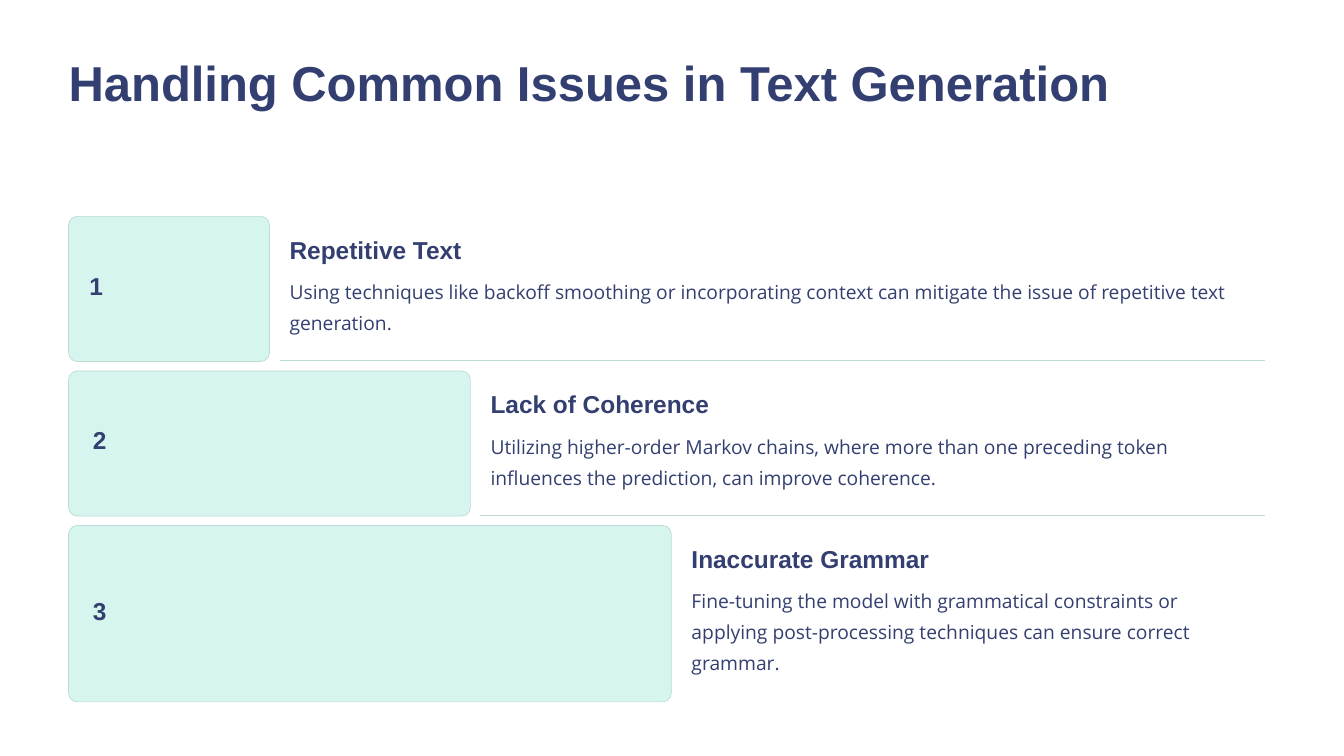
from dataclasses import dataclass

import pptx
import pptx.dml.color
import pptx.enum.shapes
import pptx.enum.text
import pptx.oxml
import pptx.oxml.ns
import pptx.util
from pptx.util import Inches, Pt

NAVY = pptx.dml.color.RGBColor(0x33, 0x3F, 0x70)
MINT = pptx.dml.color.RGBColor(0xD6, 0xF5, 0xEE)
SAGE = pptx.dml.color.RGBColor(0xBC, 0xDB, 0xD4)
WHITE = pptx.dml.color.RGBColor(0xFF, 0xFF, 0xFF)

SLIDE_WIDTH, SLIDE_HEIGHT = 20, 11.25
MARGIN = 1.02
COLUMN = 2.99
FIRST_ROW = 3.22
ROW_GAP = 0.14
CORNER = 0.13
TEXT_GAP = 0.3
RULE_GAP = 0.15
RULE_RIGHT = 18.83
TEXT_RIGHT = RULE_RIGHT - RULE_GAP
NUMBER_HEIGHT = 0.71


@dataclass(frozen=True)
class TextStyle:
    font: str
    size: float
    line: float
    bold: bool = True
    align: pptx.enum.text.PP_ALIGN = pptx.enum.text.PP_ALIGN.LEFT


@dataclass(frozen=True)
class Issue:
    heading: str
    remedy: str
    remedy_lines: int
    number_width: float = 0.31

    @property
    def height(self) -> float:
        return 1.23 + 0.465 * self.remedy_lines


TITLE = TextStyle("Arial", 52.5, 65.6)
NUMBER = TextStyle("Arial", 26.2, 41.9, align=pptx.enum.text.PP_ALIGN.CENTER)
HEADING = TextStyle("Arial", 26.2, 32.5)
REMEDY = TextStyle("Open Sans", 20.6, 33.1, bold=False)

ISSUES = [
    Issue("Repetitive Text",
          "Using techniques like backoff smoothing or incorporating context "
          "can mitigate the issue of repetitive text generation.", 2, 0.19),
    Issue("Lack of Coherence",
          "Utilizing higher-order Markov chains, where more than one preceding "
          "token influences the prediction, can improve coherence.", 2),
    Issue("Inaccurate Grammar",
          "Fine-tuning the model with grammatical constraints or applying "
          "post-processing techniques can ensure correct grammar.", 3),
]


def write(frame: pptx.text.text.TextFrame, text: str, style: TextStyle) -> None:
    frame.margin_left = frame.margin_right = 0
    frame.margin_top = frame.margin_bottom = 0
    frame.word_wrap = True
    frame.auto_size = pptx.enum.text.MSO_AUTO_SIZE.NONE
    frame.vertical_anchor = pptx.enum.text.MSO_ANCHOR.TOP
    paragraph = frame.paragraphs[0]
    paragraph.alignment = style.align
    paragraph.line_spacing = Pt(style.line)
    run = paragraph.add_run()
    run.text = text
    run.font.name = style.font
    run.font.size = Pt(style.size)
    run.font.bold = style.bold
    run.font.color.rgb = NAVY


def add_text(slide: pptx.slide.Slide, left: float, top: float, width: float,
             height: float, text: str, style: TextStyle) -> None:
    box = slide.shapes.add_textbox(
        Inches(left), Inches(top), Inches(width), Inches(height))
    write(box.text_frame, text, style)


def add_bar(slide: pptx.slide.Slide, top: float, width: float, height: float) -> None:
    bar = slide.shapes.add_shape(
        pptx.enum.shapes.MSO_SHAPE.ROUNDED_RECTANGLE,
        Inches(MARGIN), Inches(top), Inches(width), Inches(height))
    bar.adjustments[0] = CORNER / height
    bar.shadow.inherit = False
    bar.fill.solid()
    bar.fill.fore_color.rgb = MINT
    bar.line.color.rgb = SAGE
    bar.line.width = Pt(0.75)


def add_rule(slide: pptx.slide.Slide, left: float, y: float) -> None:
    rule = slide.shapes.add_connector(
        pptx.enum.shapes.MSO_CONNECTOR.STRAIGHT,
        Inches(left), Inches(y), Inches(RULE_RIGHT), Inches(y))
    rule.line.color.rgb = SAGE
    rule.line.width = Pt(1.35)
    rule._element.spPr.append(
        pptx.oxml.parse_xml(f"<a:effectLst {pptx.oxml.ns.nsdecls('a')}/>"))


def add_issue(slide: pptx.slide.Slide, number: int, issue: Issue, top: float) -> None:
    bar_width = number * COLUMN
    bar_right = MARGIN + bar_width
    text_left = bar_right + TEXT_GAP
    text_width = TEXT_RIGHT - text_left
    add_bar(slide, top, bar_width, issue.height)
    add_text(slide, MARGIN + 0.31, top + (issue.height - NUMBER_HEIGHT) / 2 - 0.06,
             issue.number_width, NUMBER_HEIGHT, str(number), NUMBER)
    add_text(slide, text_left, top + 0.26, text_width, 0.49, issue.heading, HEADING)
    add_text(slide, text_left, top + 0.84, text_width, issue.height - 1.14,
             issue.remedy, REMEDY)
    if number < len(ISSUES):
        add_rule(slide, bar_right + RULE_GAP, top + issue.height - 0.01)


def main() -> None:
    deck = pptx.Presentation()
    deck.slide_width = Inches(SLIDE_WIDTH)
    deck.slide_height = Inches(SLIDE_HEIGHT)
    slide = deck.slides.add_slide(deck.slide_layouts.get_by_name("Title Only"))
    slide.background.fill.solid()
    slide.background.fill.fore_color.rgb = WHITE

    title = slide.shapes.title
    title.left, title.top = Inches(MARGIN), Inches(0.75)
    title.width, title.height = Inches(SLIDE_WIDTH - 2 * MARGIN), Inches(1.88)
    write(title.text_frame, "Handling Common Issues in Text Generation", TITLE)

    top = FIRST_ROW
    for number, issue in enumerate(ISSUES, start=1):
        add_issue(slide, number, issue, top)
        top += issue.height + ROW_GAP

    deck.save("out.pptx")


if __name__ == "__main__":
    main()
